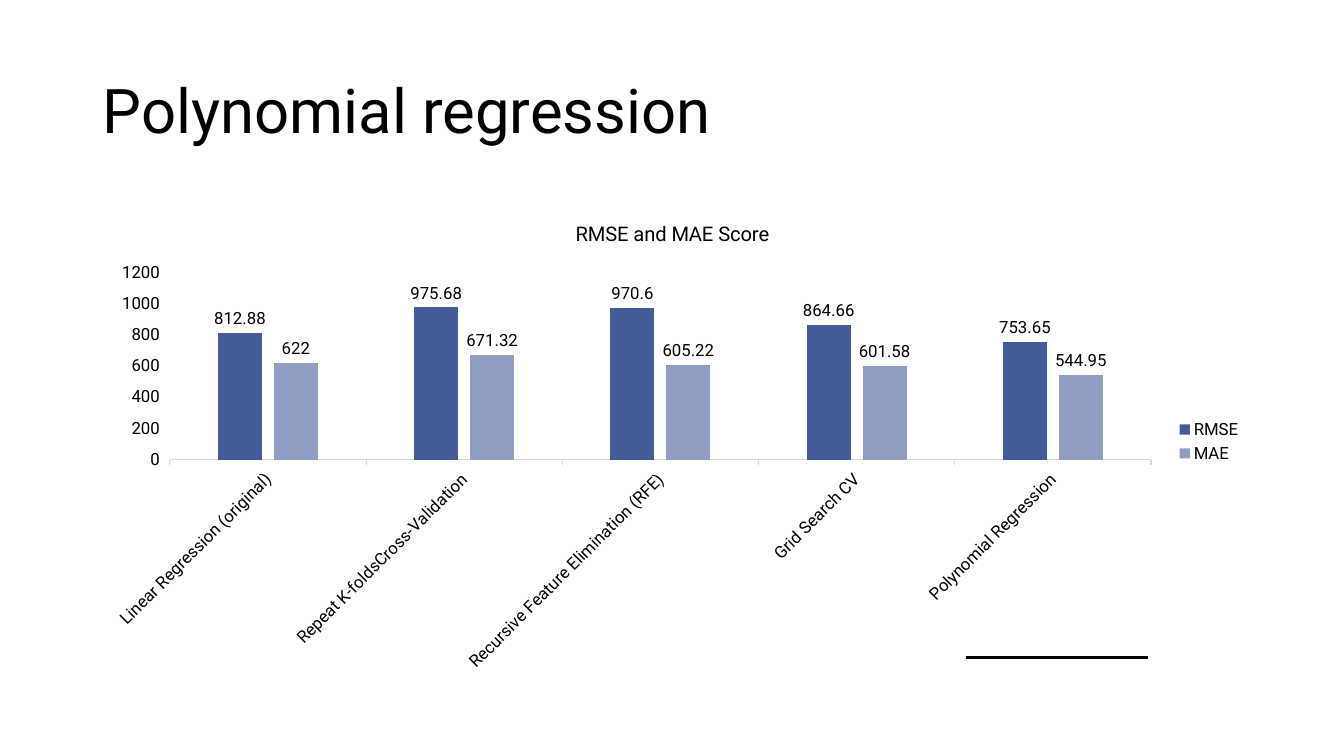
"""Build the slide comparing RMSE and MAE scores of the regression models."""
import dataclasses

import lxml.etree
import pptx
import pptx.chart.data
import pptx.dml.color
import pptx.enum.chart
import pptx.enum.shapes
import pptx.enum.text
import pptx.oxml.ns
import pptx.util

EMU_PER_PX = 9144

MODELS = [
    "Linear Regression (original)",
    "Repeat K-foldsCross-Validation",
    "Recursive Feature Elimination (RFE)",
    "Grid Search CV",
    "Polynomial Regression",
]
SCORES = {
    "RMSE": [812.88, 975.68, 970.6, 864.66, 753.65],
    "MAE": [622, 671.32, 605.22, 601.58, 544.95],
}


@dataclasses.dataclass(frozen=True)
class Theme:
    font: str = "Roboto"
    ink: str = "000000"
    axis: str = "D9D9D9"
    series: tuple = ("425B99", "919CC3")
    title_size: float = 44
    chart_title_size: float = 14.4
    label_size: float = 12
    axis_width: float = 0.75
    rule_width: float = 2.25


def px(length):
    return pptx.util.Emu(length * EMU_PER_PX)


def rgb(value):
    return pptx.dml.color.RGBColor.from_string(value)


class SlideBuilder:
    def __init__(self, slide, theme):
        self.slide = slide
        self.theme = theme

    def style_font(self, font, size):
        font.name = self.theme.font
        font.size = pptx.util.Pt(size)
        font.bold = False
        font.color.rgb = rgb(self.theme.ink)

    def title(self, text, left, top, width, height):
        title = self.slide.shapes.title
        title.left, title.top = px(left), px(top)
        title.width, title.height = px(width), px(height)
        frame = title.text_frame
        frame.text = text
        frame.word_wrap = True
        frame.vertical_anchor = pptx.enum.text.MSO_ANCHOR.MIDDLE
        para = frame.paragraphs[0]
        para.alignment = pptx.enum.text.PP_ALIGN.LEFT
        para.line_spacing = 0.9
        self.style_font(para.runs[0].font, self.theme.title_size)

    def column_chart(self, heading, categories, scores, left, top, width, height):
        data = pptx.chart.data.CategoryChartData()
        data.categories = categories
        for name, values in scores.items():
            data.add_series(name, values)
        chart = self.slide.shapes.add_chart(
            pptx.enum.chart.XL_CHART_TYPE.COLUMN_CLUSTERED,
            px(left), px(top), px(width), px(height), data,
        ).chart
        self.style_font(chart.font, self.theme.label_size)

        chart.has_title = True
        chart.chart_title.include_in_layout = False
        para = chart.chart_title.text_frame.paragraphs[0]
        para.text = heading
        self.style_font(para.runs[0].font, self.theme.chart_title_size)

        chart.has_legend = True
        chart.legend.position = pptx.enum.chart.XL_LEGEND_POSITION.RIGHT
        chart.legend.include_in_layout = False
        self.style_font(chart.legend.font, self.theme.label_size)

        self.style_axes(chart)
        self.style_columns(chart.plots[0])

    def style_axes(self, chart):
        for axis in (chart.category_axis, chart.value_axis):
            axis.has_major_gridlines = False
            axis.major_tick_mark = pptx.enum.chart.XL_TICK_MARK.OUTSIDE
            axis.minor_tick_mark = pptx.enum.chart.XL_TICK_MARK.NONE
            self.style_font(axis.tick_labels.font, self.theme.label_size)
        chart.value_axis.minimum_scale = 0
        chart.value_axis.maximum_scale = 1200
        chart.value_axis.major_unit = 200
        chart.value_axis.format.line.fill.background()
        line = chart.category_axis.format.line
        line.color.rgb = rgb(self.theme.axis)
        line.width = pptx.util.Pt(self.theme.axis_width)
        label_body = chart.category_axis._element.find(
            "c:txPr/a:bodyPr", pptx.oxml.ns._nsmap
        )
        label_body.set("rot", "-2700000")
        label_body.set("vert", "horz")

    def style_columns(self, plot):
        plot.gap_width = 219
        plot.overlap = -27
        plot.vary_by_categories = False
        for series, color in zip(plot.series, self.theme.series):
            series.invert_if_negative = False
            series.format.fill.solid()
            series.format.fill.fore_color.rgb = rgb(color)
            labels = series.data_labels
            labels.show_value = True
            labels.position = pptx.enum.chart.XL_LABEL_POSITION.OUTSIDE_END
            self.style_font(labels.font, self.theme.label_size)

    def rule(self, left, top, width):
        line = self.slide.shapes.add_connector(
            pptx.enum.shapes.MSO_CONNECTOR.STRAIGHT,
            px(left), px(top), px(left + width), px(top),
        )
        line.line.color.rgb = rgb(self.theme.ink)
        line.line.width = pptx.util.Pt(self.theme.rule_width)
        lxml.etree.SubElement(
            line._element.spPr, pptx.oxml.ns.qn("a:effectLst")
        )


def main():
    deck = pptx.Presentation()
    deck.slide_width, deck.slide_height = px(1333), px(750)
    page = SlideBuilder(deck.slides.add_slide(deck.slide_layouts[5]), Theme())
    page.column_chart("RMSE and MAE Score", MODELS, SCORES, 92, 200, 1150, 476)
    page.title("Polynomial regression", 92, 40, 1150, 145)
    page.rule(958, 652, 181)
    deck.save("out.pptx")


if __name__ == "__main__":
    main()
